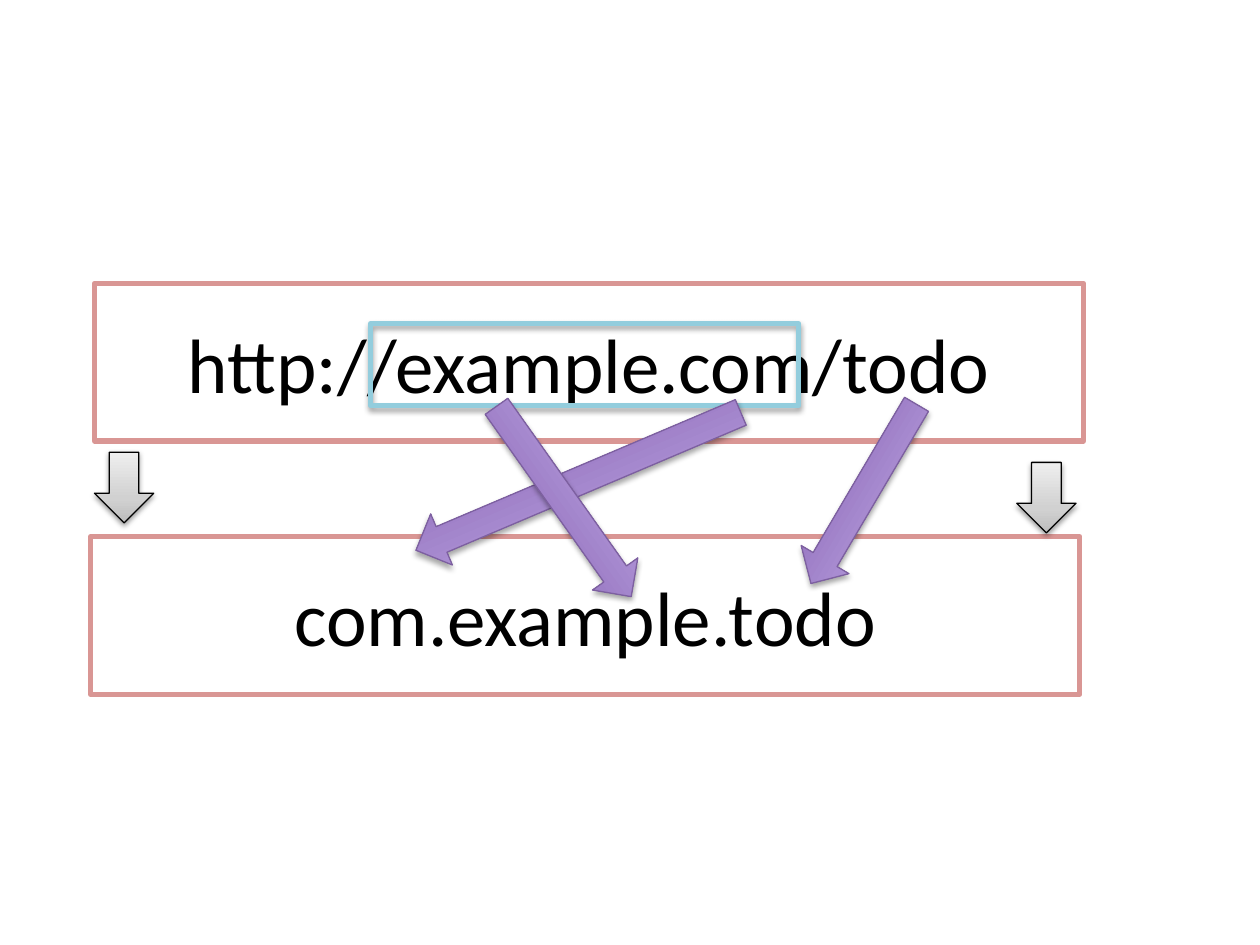
from dataclasses import dataclass

from pptx import Presentation
from pptx import util as u
from pptx.dml.color import RGBColor
from pptx.enum import shapes, text
from pptx.oxml import parse_xml
from pptx.oxml.ns import nsdecls


@dataclass(frozen=True)
class Theme:
    font: str = "Calibri"
    size: int = 44
    ink: str = "000000"
    frame: str = "D99694"
    highlight: str = "93CDDD"
    purple_line: str = "7D60A0"
    gray: tuple = ((0, "BDBDBD"), (35, "D1D1D1"), (100, "EEEEEE"))
    purple: tuple = ((0, "7F5BAB"), (100, "C8B0ED"))


theme = Theme()
kinds = shapes.MSO_SHAPE

prs = Presentation()
prs.slide_width, prs.slide_height = u.Inches(10), u.Inches(7.5)
slide = prs.slides.add_slide(prs.slide_layouts[6])


def add_outline(kind, box, color, width):
    s = slide.shapes.add_shape(kind, *(u.Inches(v) for v in box))
    s.fill.background()
    s.line.color.rgb = RGBColor.from_string(color)
    s.line.width = u.Pt(width)
    s.shadow.inherit = False
    return s


def add_effects(s, alpha, distance, stops=()):
    """Give a shape a soft shadow below it and, with stops, a bottom-to-top gradient."""
    props = s._element.spPr
    effects = props.find("{*}effectLst")
    effects.append(parse_xml(
        f'<a:outerShdw {nsdecls("a")} blurRad="{u.Pt(3.1)}" dist="{u.Pt(distance)}" '
        f'dir="5400000" rotWithShape="0"><a:srgbClr val="{theme.ink}">'
        f'<a:alpha val="{alpha * 1000}"/></a:srgbClr></a:outerShdw>'))
    if stops:
        marks = "".join(f'<a:gs pos="{pos * 1000}"><a:srgbClr val="{color}"/></a:gs>'
                        for pos, color in stops)
        props.replace(props.find("{*}noFill"), parse_xml(
            f'<a:gradFill {nsdecls("a")} rotWithShape="1"><a:gsLst>{marks}</a:gsLst>'
            '<a:lin ang="16200000" scaled="0"/></a:gradFill>'))


# Framed address and package name
for left, top, words in ((0.75, 2.25, "http://example.com/todo"),
                         (0.72, 4.26, "com.example.todo")):
    s = add_outline(kinds.RECTANGLE, (left, top, 7.85, 1.25), theme.frame, 3)
    tf = s.text_frame
    tf.word_wrap = True
    tf.vertical_anchor = text.MSO_ANCHOR.MIDDLE
    p = tf.paragraphs[0]
    p.text = words
    p.alignment = text.PP_ALIGN.CENTER
    p.font.name = theme.font
    p.font.size = u.Pt(theme.size)
    p.font.color.rgb = RGBColor.from_string(theme.ink)

# Highlight around the domain
s = add_outline(kinds.RECTANGLE, (2.94, 2.57, 3.4, 0.65), theme.highlight, 3)
add_effects(s, 35, 1.8)

# Gray arrows from the address down to the package name
for left, top in ((0.75, 3.59), (8.07, 3.67)):
    s = add_outline(kinds.DOWN_ARROW, (left, top, 0.47, 0.56), theme.ink, 0.75)
    add_effects(s, 38, 1.6, theme.gray)

# Purple arrows that show where each part goes
for left, top, length, angle in ((3.19, 3.6, 2.8, 157),
                                 (3.55, 3.76, 1.85, 54.7),
                                 (6.03, 3.7, 1.65, 120.5)):
    s = add_outline(kinds.RIGHT_ARROW, (left, top, length, 0.44), theme.purple_line, 0.75)
    s.rotation = angle
    add_effects(s, 35, 1.8, theme.purple)

prs.save("out.pptx")
